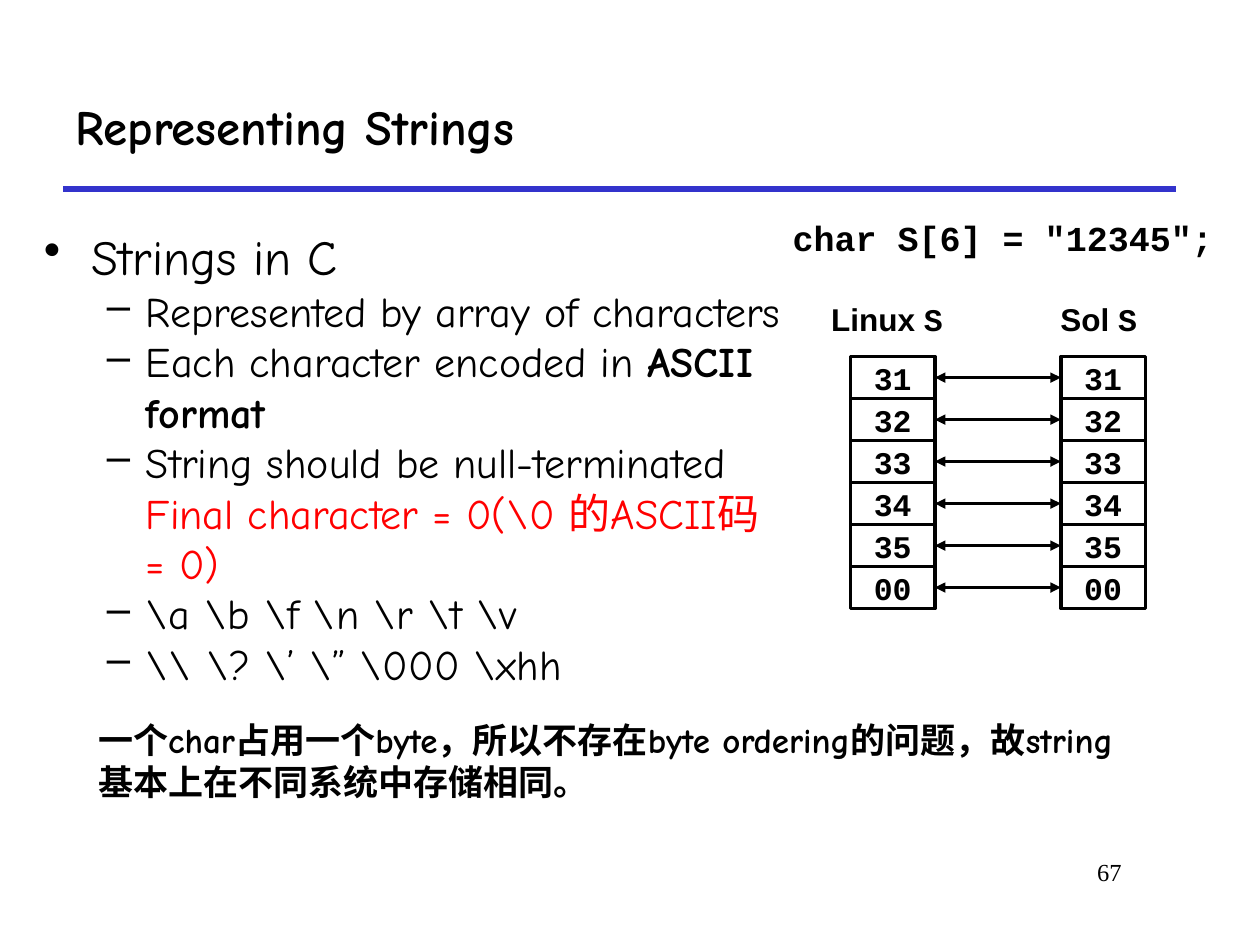
from dataclasses import dataclass

from lxml import etree
from pptx import Presentation
from pptx import util as u
from pptx.dml.color import RGBColor
from pptx.enum import shapes, text
from pptx.oxml import ns

BLACK, WHITE, RED, BLUE = "000000", "FFFFFF", "FF0000", "3333CC"
HAND, MONO, SANS, SERIF = "Comic Neue", "Courier New", "Arial", "Times New Roman"
LEFT, CENTER, RIGHT = text.PP_ALIGN.LEFT, text.PP_ALIGN.CENTER, text.PP_ALIGN.RIGHT


@dataclass
class Run:
    text: str
    size: float
    font: str = HAND
    bold: bool = False
    color: str = BLACK


@dataclass
class Bullet:
    runs: list[Run]
    char: str = "–"
    level: int = 1
    margin: float = 0.81
    hang: float = 0.31


@dataclass
class Column:
    title: str
    left: float
    label_left: float
    label_width: float


def rgb(value: str) -> RGBColor:
    return RGBColor.from_string(value)


def add_runs(p, runs: list[Run]) -> None:
    for run in runs:
        r = p.add_run()
        r.text = run.text
        r.font.size = u.Pt(run.size)
        r.font.name = run.font
        r.font.bold = run.bold
        r.font.color.rgb = rgb(run.color)


def add_text(s, left: float, top: float, width: float, height: float, runs: list[Run],
             align=LEFT, anchor=text.MSO_ANCHOR.TOP, wrap: bool = True):
    box = s.shapes.add_textbox(*map(u.Inches, (left, top, width, height)))
    tf = box.text_frame
    tf.word_wrap = wrap
    tf.vertical_anchor = anchor
    tf.paragraphs[0].alignment = align
    add_runs(tf.paragraphs[0], runs)
    return tf


def add_bullet(p, item: Bullet) -> None:
    p.level = item.level
    pPr = p._p.get_or_add_pPr()
    pPr.set("marL", str(u.Inches(item.margin)))
    pPr.set("indent", str(-u.Inches(item.hang)))
    etree.SubElement(pPr, ns.qn("a:buChar")).set("char", item.char)
    add_runs(p, item.runs)


def add_line(s, x1: float, x2: float, y: float, color: str, width: float,
             arrows: bool = False) -> None:
    line = s.shapes.add_connector(shapes.MSO_CONNECTOR.STRAIGHT,
                                  *map(u.Inches, (x1, y, x2, y)))
    line.line.color.rgb = rgb(color)
    line.line.width = u.Pt(width)
    if arrows:
        ln = line.line._get_or_add_ln()
        for end in ("a:headEnd", "a:tailEnd"):
            etree.SubElement(ln, ns.qn(end)).set("type", "triangle")
    etree.SubElement(line._element.spPr, ns.qn("a:effectLst"))


def add_cell(s, left: float, top: float, value: str) -> None:
    sp = s.shapes.add_shape(shapes.MSO_SHAPE.RECTANGLE,
                            *map(u.Inches, (left, top, CELL_W, CELL_H)))
    sp.shadow.inherit = False
    sp.fill.solid()
    sp.fill.fore_color.rgb = rgb(WHITE)
    sp.line.color.rgb = rgb(BLACK)
    sp.line.width = u.Pt(2)
    tf = sp.text_frame
    tf.word_wrap = False
    tf.vertical_anchor = text.MSO_ANCHOR.MIDDLE
    tf.paragraphs[0].alignment = CENTER
    add_runs(tf.paragraphs[0], [Run(value, 18, MONO, True)])


CELL_W, CELL_H = 0.67, 1 / 3
CELLS_TOP = 2.83
BYTES = ["31", "32", "33", "34", "35", "00"]
COLUMNS = [Column("Linux ", 6.75, 6.49, 1.1), Column("Sol ", 8.42, 8.27, 0.9)]
BULLETS = [
    Bullet([Run("Strings in C", 28)], "•", 0, 0.38, 0.38),
    Bullet([Run("Represented by array of characters", 24)]),
    Bullet([Run("Each character encoded in ", 24), Run("ASCII format", 24, bold=True)]),
    Bullet([Run("String should be null-terminated ", 24),
            Run("Final character = 0(\\0 的ASCII码 = 0)", 24, color=RED)]),
    Bullet([Run("\\a \\b \\f \\n \\r \\t \\v", 24)]),
    Bullet([Run("\\\\ \\? \\’ \\” \\000 \\xhh", 24)]),
]


def main() -> None:
    prs = Presentation()
    prs.slide_width, prs.slide_height = u.Inches(10), u.Inches(7.5)
    s = prs.slides.add_slide(prs.slide_layouts[6])

    # Title, rule and page number
    add_text(s, 0.5, 0.5, 8.83, 1, [Run("Representing Strings", 28, bold=True)],
             anchor=text.MSO_ANCHOR.MIDDLE)
    add_line(s, 0.5, 9.33, 1.5, BLUE, 3)
    add_text(s, 7.58, 6.75, 1.42, 0.5, [Run("67", 14, SERIF)], RIGHT)

    # Bullet list
    tf = add_text(s, 0.25, 1.75, 6.08, 4.92, [])
    for i, item in enumerate(BULLETS):
        add_bullet(tf.add_paragraph() if i else tf.paragraphs[0], item)

    # Declaration and the bytes on both systems
    add_text(s, 5.67, 1.67, 4.58, 0.58,
             [Run('char S[6] = "12345";', 20, MONO, True)], CENTER)
    for col in COLUMNS:
        add_text(s, col.label_left, 2.33, col.label_width, 0.4,
                 [Run(col.title, 18, SANS, True), Run("S", 18, MONO, True)],
                 CENTER, wrap=False)
        for i, value in enumerate(BYTES):
            add_cell(s, col.left, CELLS_TOP + i * CELL_H, value)

    # Arrows between matching bytes
    for i in range(len(BYTES)):
        add_line(s, COLUMNS[0].left + CELL_W, COLUMNS[1].left,
                 CELLS_TOP + (i + 0.5) * CELL_H, BLACK, 2, arrows=True)

    # Closing remark
    remark = "一个char占用一个byte，所以不存在byte ordering的问题，故string基本上在不同系统中存储相同。"
    add_text(s, 0.68, 5.65, 8.32, 0.77, [Run(remark, 20, bold=True)])

    prs.save("out.pptx")


if __name__ == "__main__":
    main()
